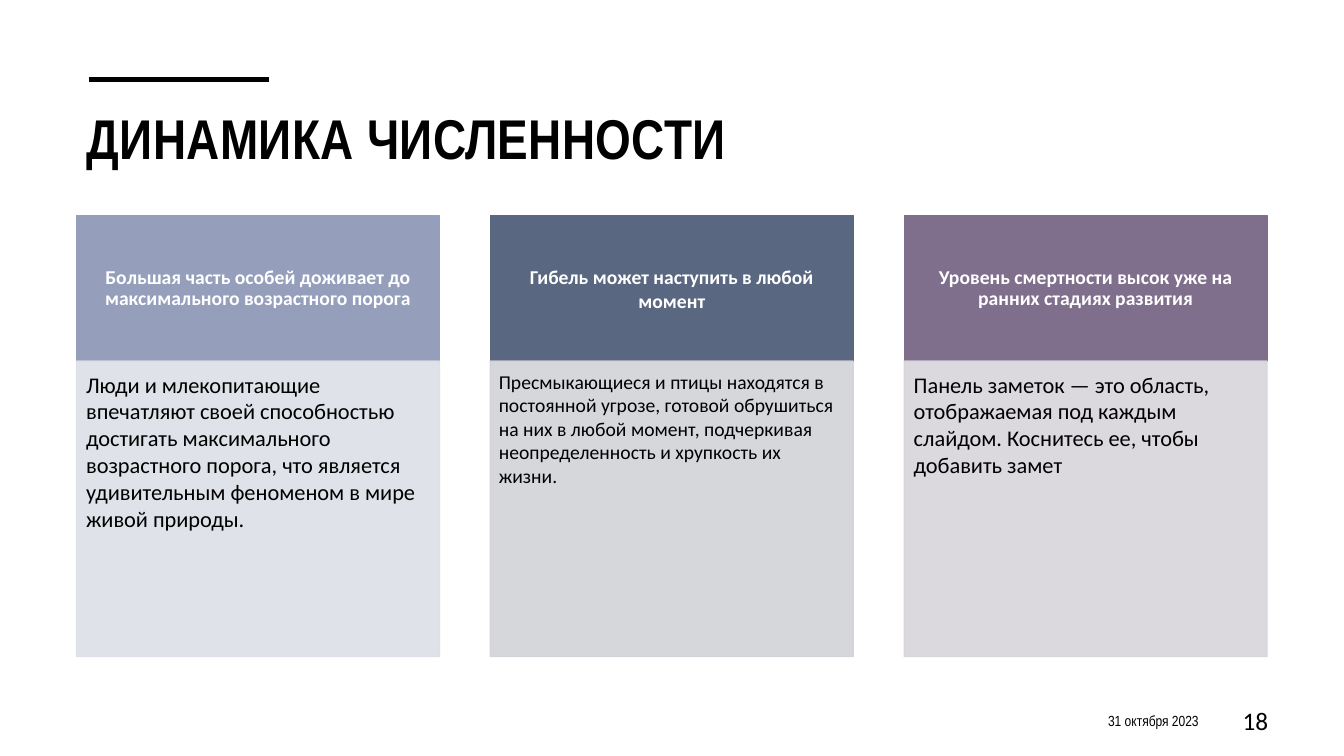
from dataclasses import dataclass
from pptx import Presentation
from pptx.dml.color import RGBColor as Rgb
from pptx.enum.shapes import MSO_CONNECTOR as Link, MSO_SHAPE as Shape
from pptx.enum.text import MSO_ANCHOR as Anchor, PP_ALIGN as Align
from pptx.oxml.ns import qn
from pptx.util import Pt
from lxml.etree import SubElement


@dataclass(frozen=True)
class Theme:
    ink: str = "000000"
    paper: str = "FFFFFF"
    narrow: str = "Arial Narrow"
    plain: str = "Calibri"
    title: float = 40
    head: float = 14
    date: float = 10.5
    number: float = 18
    clear: int = 90


class Deck:
    def __init__(self, theme):
        self.theme = theme
        self.file = Presentation()
        self.file.slide_width, self.file.slide_height = Pt(960), Pt(540)
        self.slide = self.file.slides.add_slide(self.file.slide_layouts[5])

    def place(self, item, box):
        item.left, item.top, item.width, item.height = map(Pt, box)

    def label(self, item, text, size, font, color, bold=False,
              align=Align.LEFT, anchor=Anchor.TOP, inset=(7.2, 3.6, 7.2, 3.6), lead=1):
        frame = item.text_frame
        frame.word_wrap = True
        frame.vertical_anchor = anchor
        (frame.margin_left, frame.margin_top,
         frame.margin_right, frame.margin_bottom) = map(Pt, inset)
        para = frame.paragraphs[0]
        para.alignment, para.line_spacing = align, lead
        run = para.add_run()
        run.text = text
        run.font.size, run.font.name, run.font.bold = Pt(size), font, bold
        run.font.color.rgb = Rgb.from_string(color)
        return run

    def title(self, text, box):
        item = self.slide.shapes.title
        self.place(item, box)
        run = self.label(item, text, self.theme.title, self.theme.narrow,
                         self.theme.ink, bold=True)
        run.font._element.set("spc", "30")

    def line(self, start, end, width):
        rule = self.slide.shapes.add_connector(Link.STRAIGHT, *map(Pt, start + end))
        rule.line.color.rgb = Rgb.from_string(self.theme.ink)
        rule.line.width = Pt(width)
        SubElement(rule._element.spPr, qn("a:effectLst"))

    def panel(self, box, color, clear=100):
        item = self.slide.shapes.add_shape(Shape.RECTANGLE, *map(Pt, box))
        item.shadow.inherit = False
        item.fill.solid()
        item.line.width = Pt(1)
        for paint in (item.fill.fore_color, item.line.color):
            paint.rgb = Rgb.from_string(color)
        if clear < 100:
            for tint in item._element.spPr.iter(qn("a:srgbClr")):
                SubElement(tint, qn("a:alpha")).set("val", str(clear * 1000))
        return item

    def card(self, left, head, body, dark, light, size, lead, inset):
        theme = self.theme
        top = self.panel((left, 154, 259.2, 104), dark)
        self.label(top, head, theme.head, theme.plain, theme.paper, True,
                   Align.CENTER, Anchor.MIDDLE, (8, 4.5, 8, 4.5), lead)
        base = self.panel((left, 258, 259.2, 211), light, theme.clear)
        self.label(base, body, size, theme.plain, theme.ink, inset=inset)

    def note(self, text, box, size, font):
        item = self.slide.shapes.add_textbox(*map(Pt, box))
        self.label(item, text, size, font, self.theme.ink,
                   align=Align.RIGHT, anchor=Anchor.MIDDLE)


WIDE = (6.8, 6.8, 8.5, 10)
TIGHT = (6, 6, 8, 9)
CARDS = [
    ("Большая часть особей доживает до максимального возрастного порога",
     "Люди и млекопитающие впечатляют своей способностью достигать "
     "максимального возрастного порога, что является удивительным "
     "феноменом в мире живой природы.",
     "959EBB", "DDDFE7", 16, 0.9, WIDE),
    ("Гибель может наступить в любой момент",
     "Пресмыкающиеся и птицы находятся в постоянной угрозе, готовой "
     "обрушиться на них в любой момент, подчеркивая неопределенность "
     "и хрупкость их жизни.",
     "596781", "D1D3D8", 14, 1, TIGHT),
    ("Уровень смертности высок уже на ранних стадиях развития",
     "Панель заметок — это область, отображаемая под каждым слайдом. "
     "Коснитесь ее, чтобы добавить замет",
     "7F6E8C", "D8D5DA", 16, 0.9, WIDE),
]


def main():
    theme = Theme()
    deck = Deck(theme)
    deck.line((63.4, 57), (192.2, 57), 3.5)
    deck.title("ДИНАМИКА ЧИСЛЕННОСТИ", (54.7, 70, 850.3, 83))
    for place, card in enumerate(CARDS):
        deck.card(54.7 + place * 295.6, *card)
    deck.note("31 октября 2023", (658.8, 500.4, 204.5, 28.8), theme.date, theme.narrow)
    deck.note("18", (859.7, 500.4, 53.3, 28.8), theme.number, theme.plain)
    deck.file.save("out.pptx")


if __name__ == "__main__":
    main()
